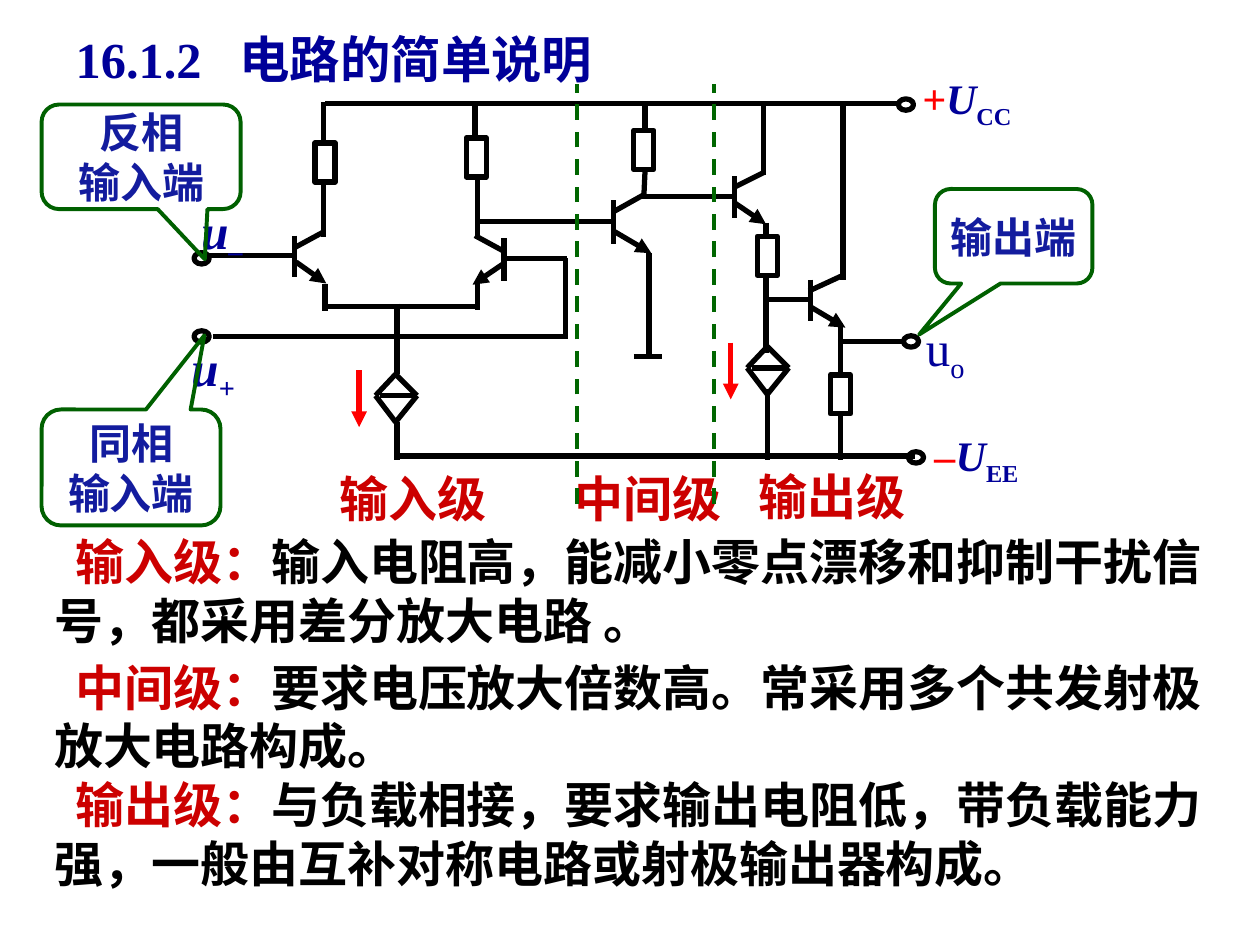
from pptx import Presentation
from pptx import util as u
from pptx.dml.color import RGBColor
from pptx.enum import dml, shapes, text
from pptx.oxml.ns import qn
from lxml import etree

NAVY = RGBColor(0x00, 0x00, 0x99)
INDIGO = RGBColor(0x13, 0x1C, 0x9E)
RED = RGBColor(0xFF, 0x00, 0x00)
CRIMSON = RGBColor(0xCC, 0x00, 0x00)
GREEN = RGBColor(0x00, 0x66, 0x00)
CALLOUT_GREEN = RGBColor(0x00, 0x60, 0x00)
BLACK = RGBColor(0x00, 0x00, 0x00)
LATIN, HAN = "Times New Roman", "Noto Sans CJK SC"

deck = Presentation()
deck.slide_width, deck.slide_height = u.Inches(10), u.Inches(7.5)
page = deck.slides.add_slide(deck.slide_layouts[1])
CELL = deck.slide_width // 10  # square grid: 10 columns by 7.5 rows


def add_span(para, words, size, color, bold=True, italic=False, shift=0, face=LATIN):
    span = para.add_run()
    span.text = words
    font = span.font
    font.size, font.bold, font.italic, font.name = u.Pt(size), bold, italic, face
    font.color.rgb = color
    props = span._r.get_or_add_rPr()
    etree.SubElement(props, qn("a:ea")).set("typeface", HAN)
    if shift:
        props.set("baseline", str(shift * 1000))


def add_wire(x1, y1, x2, y2, color=BLACK, width=3, arrow=False):
    wire = page.shapes.add_connector(
        shapes.MSO_CONNECTOR.STRAIGHT, *(int(v * CELL) for v in (x1, y1, x2, y2)))
    wire.line.color.rgb, wire.line.width = color, u.Pt(width)
    if arrow:
        etree.SubElement(wire.line._get_or_add_ln(), qn("a:tailEnd")).set("type", "triangle")
    etree.SubElement(wire._element.spPr, qn("a:effectLst"))
    return wire


# Supply rails and wires between the parts
wires = [
    (2.58, 0.82, 7.14, 0.82), (3.17, 3.62, 7.26, 3.62),
    # input stage
    (2.57, 0.81, 2.57, 1.12), (2.57, 1.46, 2.57, 1.88), (2.58, 2.25, 2.58, 2.47),
    (3.77, 0.84, 3.77, 1.09), (3.79, 1.39, 3.79, 1.9), (3.79, 2.24, 3.79, 2.46),
    (2.56, 2.43, 3.78, 2.43), (3.15, 2.41, 3.15, 2.97), (3.15, 3.35, 3.15, 3.65),
    (1.61, 2.03, 2.32, 2.03), (4.5, 2.05, 4, 2.05), (4.49, 2.05, 4.49, 2.69),
    (1.69, 2.67, 4.5, 2.67),
    # middle stage
    (3.79, 1.76, 4.88, 1.76), (5.12, 0.83, 5.12, 1.03), (5.12, 1.35, 5.11, 1.56),
    (5.15, 2.01, 5.15, 2.83), (5.03, 2.83, 5.25, 2.83), (5.08, 1.56, 5.84, 1.56),
    # output stage
    (6.06, 0.84, 6.06, 1.39), (6.08, 1.77, 6.08, 1.89), (6.08, 2.19, 6.08, 2.8),
    (6.09, 3.09, 6.09, 3.65), (6.08, 2.38, 6.44, 2.38), (6.69, 0.82, 6.69, 2.22),
    (6.67, 2.56, 6.67, 2.98), (6.67, 3.29, 6.67, 3.65), (6.65, 2.71, 7.18, 2.71),
]
for ends in wires:
    add_wire(*ends)

# Transistors: base bar, collector, emitter with arrow
transistors = [
    ((2.34, 1.87, 2.34, 2.2), (2.33, 1.97, 2.57, 1.84), (2.35, 2.08, 2.59, 2.25)),
    ((4, 1.89, 4, 2.23), (4.01, 2, 3.77, 1.87), (4, 2.09, 3.75, 2.26)),
    ((4.87, 1.59, 4.87, 1.94), (4.87, 1.68, 5.12, 1.54), (4.88, 1.84, 5.17, 2.01)),
    ((5.83, 1.4, 5.83, 1.73), (5.82, 1.49, 6.06, 1.37), (5.83, 1.61, 6.08, 1.78)),
    ((6.43, 2.22, 6.43, 2.55), (6.42, 2.31, 6.68, 2.19), (6.44, 2.44, 6.71, 2.6)),
]
for base, collector, emitter in transistors:
    add_wire(*base)
    add_wire(*collector)
    add_wire(*emitter, arrow=True)

# Current sources: diamond, cross bar and red direction arrow
for x, y in ((3.14, 3.14), (6.09, 2.92)):
    corners = [(x, y - 0.17), (x + 0.17, y), (x, y + 0.21), (x - 0.16, y)]
    for start, end in zip(corners, corners[1:] + corners[:1]):
        add_wire(*start, *end)
    add_wire(x - 0.12, y, x + 0.17, y)
    add_wire(x - 0.29, y - 0.2, x - 0.29, y + 0.25, RED, arrow=True)

# Resistors and terminals, placed by centre
RESISTOR = (shapes.MSO_SHAPE.RECTANGLE, 0.16, 0.31)
TERMINAL = (shapes.MSO_SHAPE.OVAL, 0.12, 0.09)
parts = [
    (RESISTOR, [(2.58, 1.29), (3.78, 1.25), (5.11, 1.19), (6.09, 2.03), (6.67, 3.13)]),
    (TERMINAL, [(1.6, 2.67), (1.6, 2.05), (7.27, 3.63), (7.23, 2.71), (7.19, 0.83)]),
]
for (kind, width, height), centres in parts:
    for x, y in centres:
        part = page.shapes.add_shape(kind, *(int(v * CELL) for v in (
            x - width / 2, y - height / 2, width, height)))
        part.shadow.inherit = False
        part.fill.background()
        part.line.color.rgb, part.line.width = BLACK, u.Pt(3)

# Terminal labels: sign, symbol, subscript
labels = [
    ((7.22, 0.53, 1.28, 0.5), 24, "+", "U", "CC", -25, True),
    ((7.32, 3.36, 1.01, 0.5), 24, "–", "U", "EE", -25, True),
    ((7.25, 2.47, 0.67, 0.52), 28, "", "u", "o", -24, False),
    ((1.5, 1.54, 0.74, 0.57), 28, "", "u", "–", -25, True),
    ((1.42, 2.63, 0.99, 0.57), 28, "", "u", "+", -25, True),
]
for place, size, sign, symbol, index, shift, strong in labels:
    box = page.shapes.add_textbox(*(int(v * CELL) for v in place))
    box.text_frame.word_wrap = True
    para = box.text_frame.paragraphs[0]
    if sign:
        add_span(para, sign, size, RED, italic=True)
    add_span(para, symbol, size, NAVY, strong, strong)
    add_span(para, index, size, NAVY, strong, strong and not sign, shift)

# Stage names
for name, x, y in (("输入级", 2.59, 3.67), ("中间级", 4.46, 3.67), ("输出级", 5.92, 3.65)):
    box = page.shapes.add_textbox(*(int(v * CELL) for v in (x, y, 1.37, 0.52)))
    frame = box.text_frame
    frame.word_wrap, frame.margin_bottom = False, 0
    frame.vertical_anchor = text.MSO_ANCHOR.MIDDLE
    frame.paragraphs[0].alignment = text.PP_ALIGN.CENTER
    add_span(frame.paragraphs[0], name, 28, CRIMSON)

# Dashed stage borders
for x in (4.58, 5.67):
    border = add_wire(x, 4, x, 0.67, GREEN, 2.25)
    border.line.dash_style = dml.MSO_LINE.DASH

# Callouts on the terminals
callouts = [
    ((0.33, 3.25, 1.42, 0.92), (0.41, -1.14), ("同相", "输入端")),
    ((7.42, 1.5, 1.25, 0.75), (-0.6, 1.04), ("输出端",)),
    ((0.33, 0.83, 1.58, 0.83), (0.32, 0.98), ("反相", "输入端")),
]
for place, tip, lines in callouts:
    callout = page.shapes.add_shape(
        shapes.MSO_SHAPE.ROUNDED_RECTANGULAR_CALLOUT, *(int(v * CELL) for v in place))
    callout.adjustments[0], callout.adjustments[1] = tip
    callout.shadow.inherit = False
    callout.fill.background()
    callout.line.color.rgb, callout.line.width = CALLOUT_GREEN, u.Pt(2.25)
    frame = callout.text_frame
    frame.word_wrap, frame.vertical_anchor = False, text.MSO_ANCHOR.MIDDLE
    for i, words in enumerate(lines):
        para = frame.add_paragraph() if i else frame.paragraphs[0]
        para.alignment = text.PP_ALIGN.CENTER
        add_span(para, words, 24, INDIGO)

# Title, with a tab stop after the section number
title = page.shapes.title
title.left, title.top, title.width, title.height = (
    int(v * CELL) for v in (0.5, 0.17, 6.67, 0.58))
title.text_frame.vertical_anchor = text.MSO_ANCHOR.MIDDLE
title.text_frame.auto_size = text.MSO_AUTO_SIZE.NONE
para = title.text_frame.paragraphs[0]
para.alignment = text.PP_ALIGN.LEFT
stops = etree.SubElement(para._p.get_or_add_pPr(), qn("a:tabLst"))
stop = etree.SubElement(stops, qn("a:tab"))
stop.set("pos", str(int(1.3 * CELL)))
stop.set("algn", "l")
add_span(para, "16.1.2\t电路的简单说明", 28.8, NAVY)

# Explanation of the three stages
body = page.placeholders[1]
body.left, body.top, body.width, body.height = (
    int(v * CELL) for v in (0.33, 4.17, 9.33, 2.85))
frame = body.text_frame
frame.auto_size, frame.vertical_anchor = text.MSO_AUTO_SIZE.NONE, text.MSO_ANCHOR.TOP
frame.margin_bottom = 0
stages = [
    ("输入级：", "输入电阻高，能减小零点漂移和抑制干扰信号，都采用差分放大电路 。", 0),
    ("中间级：", "要求电压放大倍数高。常采用多个共发射极放大电路构成。", 4.5),
    ("输出级：", "与负载相接，要求输出电阻低，带负载能力强，一般由互补对称电路或射极输出器构成。", 0),
]
for i, (name, details, gap) in enumerate(stages):
    para = frame.add_paragraph() if i else frame.paragraphs[0]
    props = para._p.get_or_add_pPr()
    props.set("marL", "0")
    props.set("indent", str(int(0.17 * CELL)))
    etree.SubElement(props, qn("a:buNone"))
    para.space_before, para.line_spacing = u.Pt(gap), u.Pt(33.6)
    add_span(para, name, 28, CRIMSON, face=HAN)
    add_span(para, details, 28, BLACK, face=HAN)

deck.save("out.pptx")
